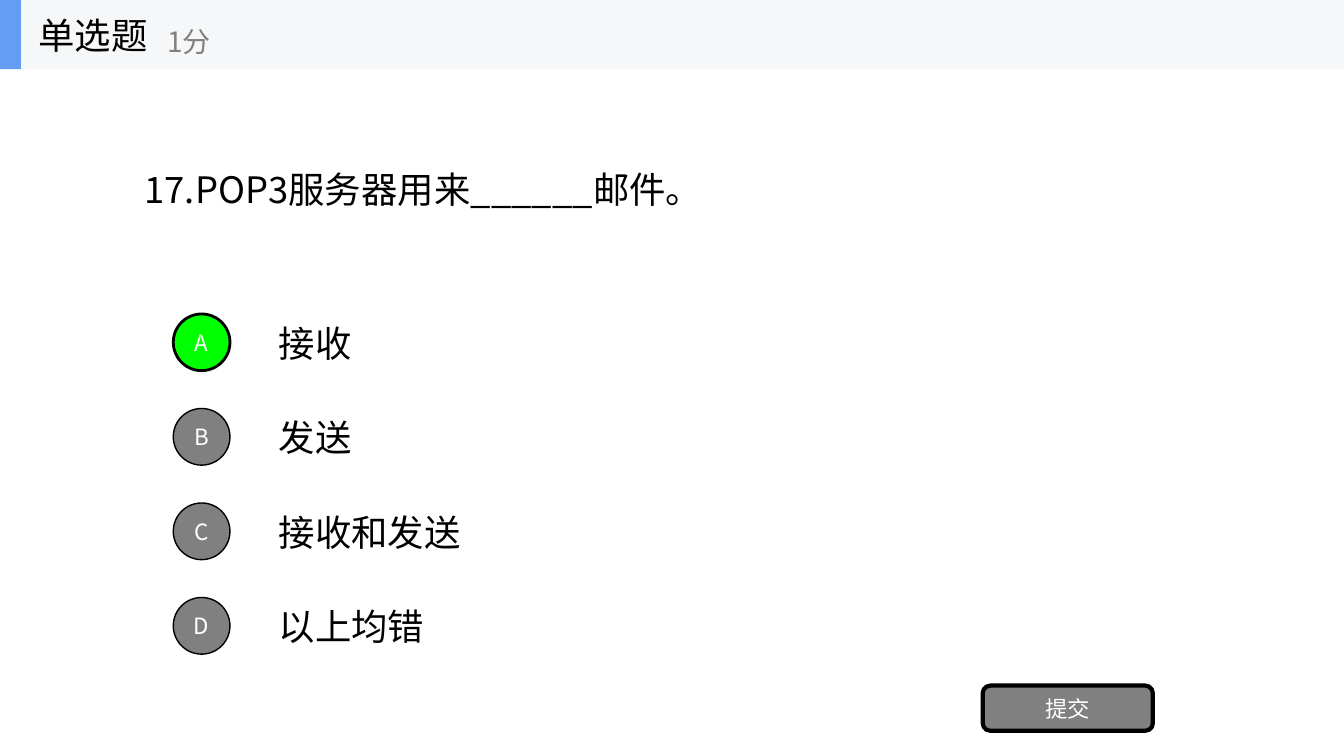
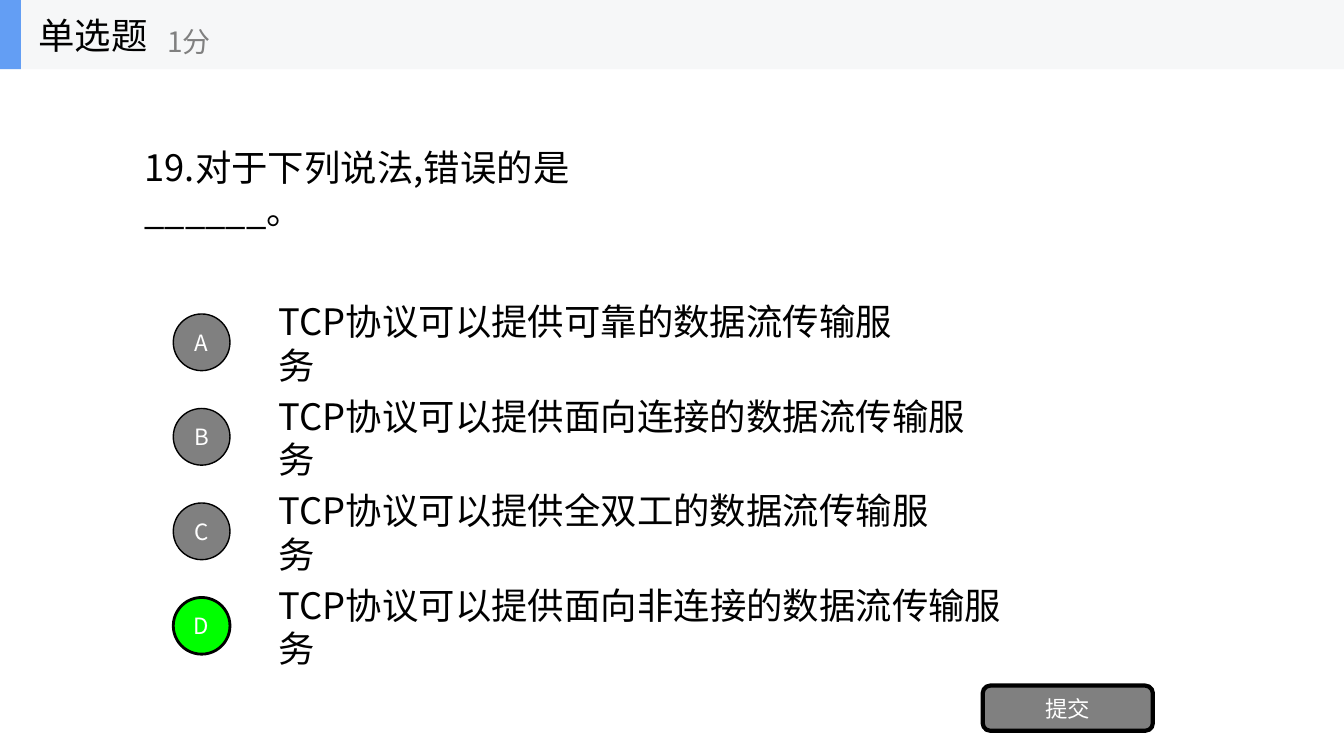
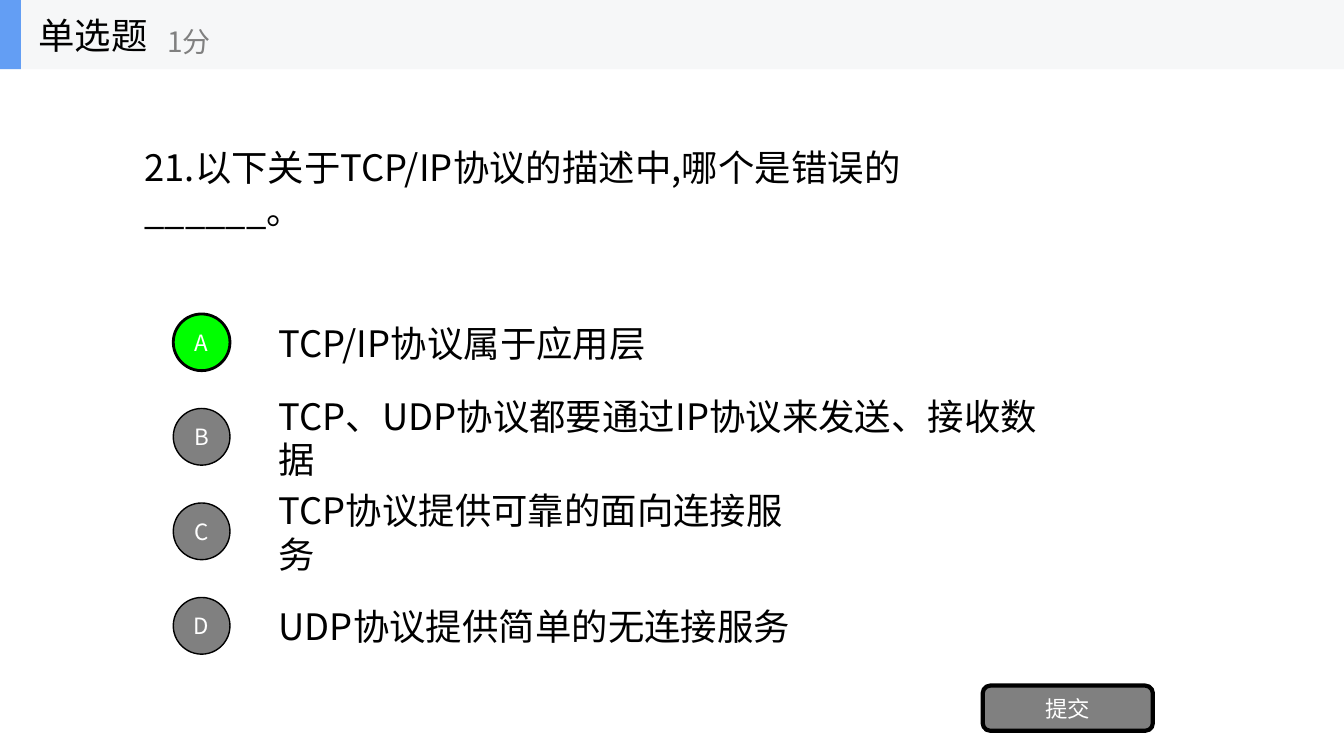
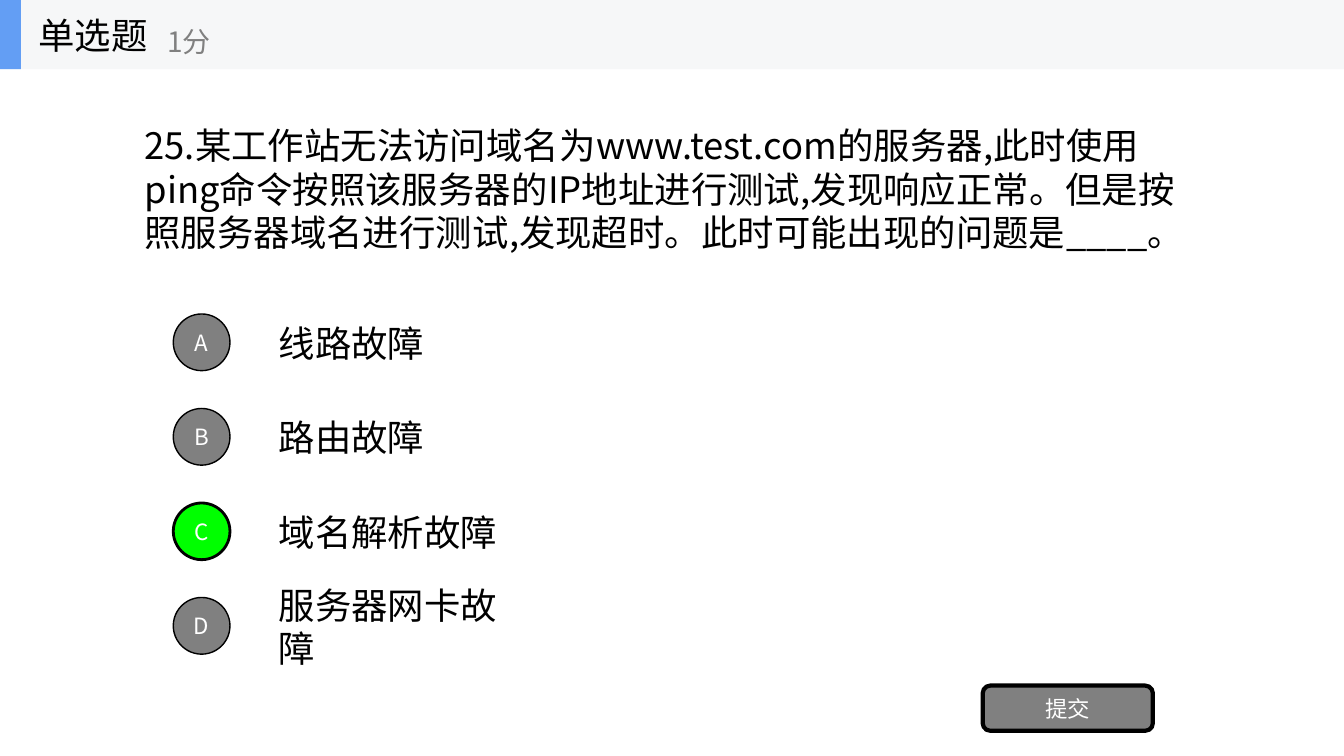
import pptx
import pptx.dml.color
import pptx.enum.shapes
import pptx.enum.text
import pptx.oxml.ns
import pptx.util
import lxml.etree

PX = 9525
FONT = "Noto Sans CJK SC"
BLACK, WHITE, GREY, GREEN = "000000", "FFFFFF", "808080", "00FF00"
BAND, ACCENT = "F6F7F8", "639EF4"

SHAPE = pptx.enum.shapes.MSO_SHAPE
ALIGN = pptx.enum.text.PP_ALIGN
FIT = pptx.enum.text.MSO_AUTO_SIZE.SHAPE_TO_FIT_TEXT

# Each question: text, width, height, right letter, then (option, width).
QUESTIONS = [
    ("17.POP3服务器用来______邮件。", 530, 51, "A",
     [("接收", 89), ("发送", 89), ("接收和发送", 193), ("以上均错", 158)]),
    ("19.对于下列说法,错误的是______。", 551, 51, "D",
     [("TCP协议可以提供可靠的数据流传输服务", 636),
      ("TCP协议可以提供面向连接的数据流传输服务", 706),
      ("TCP协议可以提供全双工的数据流传输服务", 671),
      ("TCP协议可以提供面向非连接的数据流传输服务", 740)]),
    ("21.以下关于TCP/IP协议的描述中,哪个是错误的______。", 868, 51, "A",
     [("TCP/IP协议属于应用层", 371),
      ("TCP、UDP协议都要通过IP协议来发送、接收数据", 776),
      ("TCP协议提供可靠的面向连接服务", 533),
      ("UDP协议提供简单的无连接服务", 509)]),
    ("25.某工作站无法访问域名为www.test.com的服务器,此时使用ping命令按照该服务器的IP地址"
     "进行测试,发现响应正常。但是按照服务器域名进行测试,发现超时。此时可能出现的问题是____。",
     1011, 135, "C",
     [("线路故障", 158), ("路由故障", 158), ("域名解析故障", 228), ("服务器网卡故障", 261)]),
]


def set_text(sp, text, size=26, color=BLACK, align=ALIGN.LEFT, wrap=True, fit=None):
    tf = sp.text_frame
    tf.text = text
    tf.word_wrap = wrap
    if fit is not None:
        tf.auto_size = fit
    tf.vertical_anchor = pptx.enum.text.MSO_ANCHOR.MIDDLE
    p = tf.paragraphs[0]
    p.alignment = align
    p.font.size = pptx.util.Pt(size)
    p.font.name = FONT
    p.font.color.rgb = pptx.dml.color.RGBColor.from_string(color)
    # East Asian text takes its typeface from a:ea.
    r_pr = p.font._element
    ea = lxml.etree.SubElement(r_pr, pptx.oxml.ns.qn("a:ea"))
    ea.set("typeface", FONT)


def add_box(shapes, kind, box, fill, line_width=0):
    """Add a preset shape at box (px), with a black line if line_width is given."""
    sp = shapes.add_shape(kind, *[v * PX for v in box])
    sp.shadow.inherit = False
    sp.fill.solid()
    sp.fill.fore_color.rgb = pptx.dml.color.RGBColor.from_string(fill)
    if line_width:
        sp.line.color.rgb = pptx.dml.color.RGBColor.from_string(BLACK)
        sp.line.width = pptx.util.Pt(line_width)
    else:
        sp.line.fill.background()
    return sp


prs = pptx.Presentation()
prs.slide_width, prs.slide_height = 1280 * PX, 720 * PX
title_only = prs.slide_layouts[5]

for question, width, height, answer, options in QUESTIONS:
    s = prs.slides.add_slide(title_only)

    title = s.shapes.title
    title.left, title.top = 128 * PX, (179 - height // 2) * PX
    title.width, title.height = width * PX, height * PX
    set_text(title, question, fit=FIT)

    for i, (letter, (option, option_width)) in enumerate(zip("ABCD", options)):
        top = 299 + 90 * i
        tb = s.shapes.add_textbox(256 * PX, (top + 2) * PX, option_width * PX, 51 * PX)
        set_text(tb, option, fit=FIT)
        right = letter == answer
        circle = add_box(s.shapes, SHAPE.OVAL, (165, top, 54, 54),
                         GREEN if right else GREY, 2 if right else 1)
        set_text(circle, letter, 16, WHITE, ALIGN.CENTER)

    submit = add_box(s.shapes, SHAPE.ROUNDED_RECTANGLE, (936, 653, 162, 43), GREY, 3)
    set_text(submit, "提交", 16, WHITE, ALIGN.CENTER)

    header = s.shapes.add_group_shape().shapes
    add_box(header, SHAPE.RECTANGLE, (0, 0, 1280, 66), BAND)
    add_box(header, SHAPE.RECTANGLE, (0, 0, 20, 66), ACCENT)
    kind = header.add_textbox(27 * PX, 0, 200 * PX, 66 * PX)
    set_text(kind, "单选题", wrap=False)
    score = header.add_textbox(150 * PX, 12 * PX, 240 * PX, 54 * PX)
    set_text(score, "1分", 20, GREY, wrap=False)

prs.save("out.pptx")
